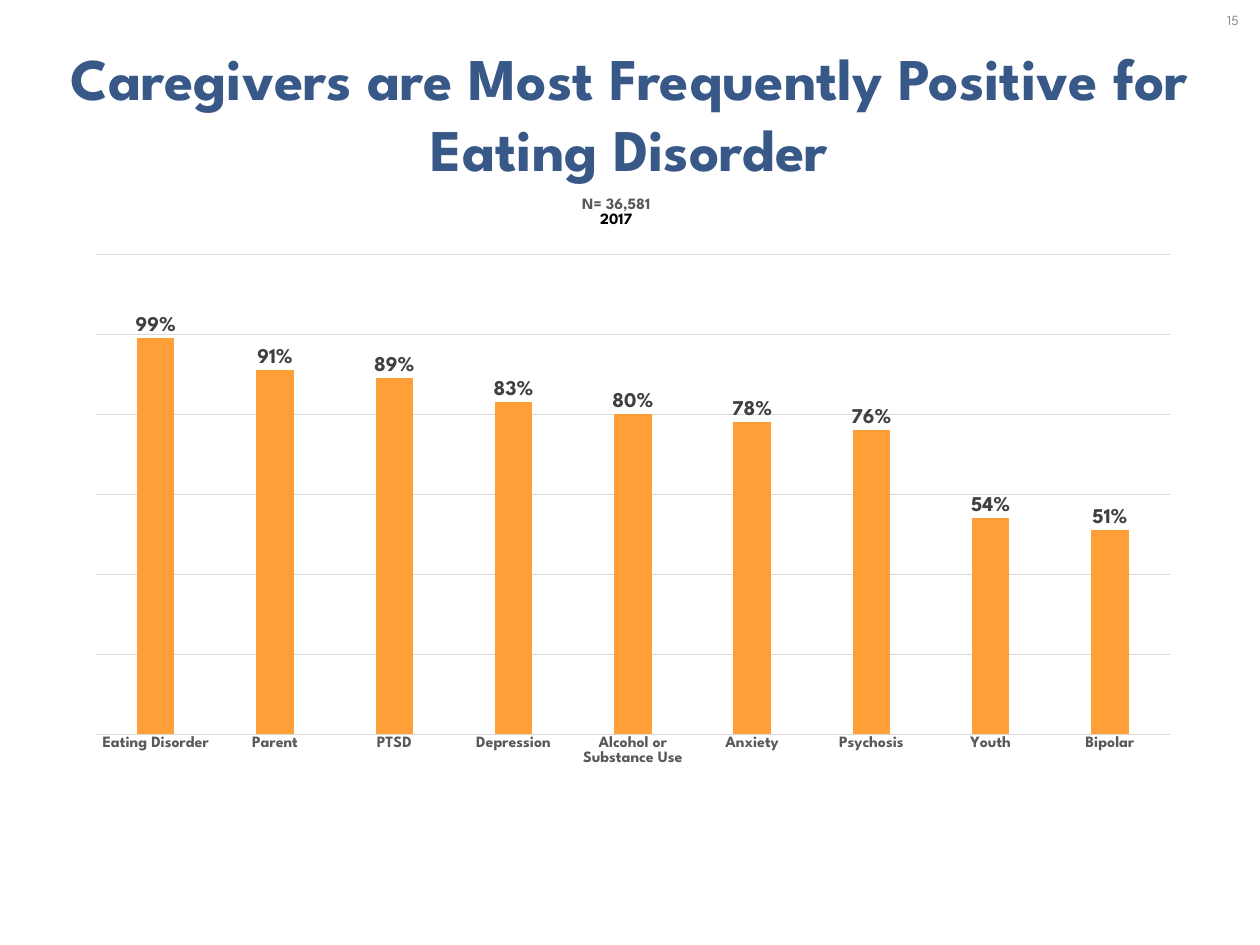
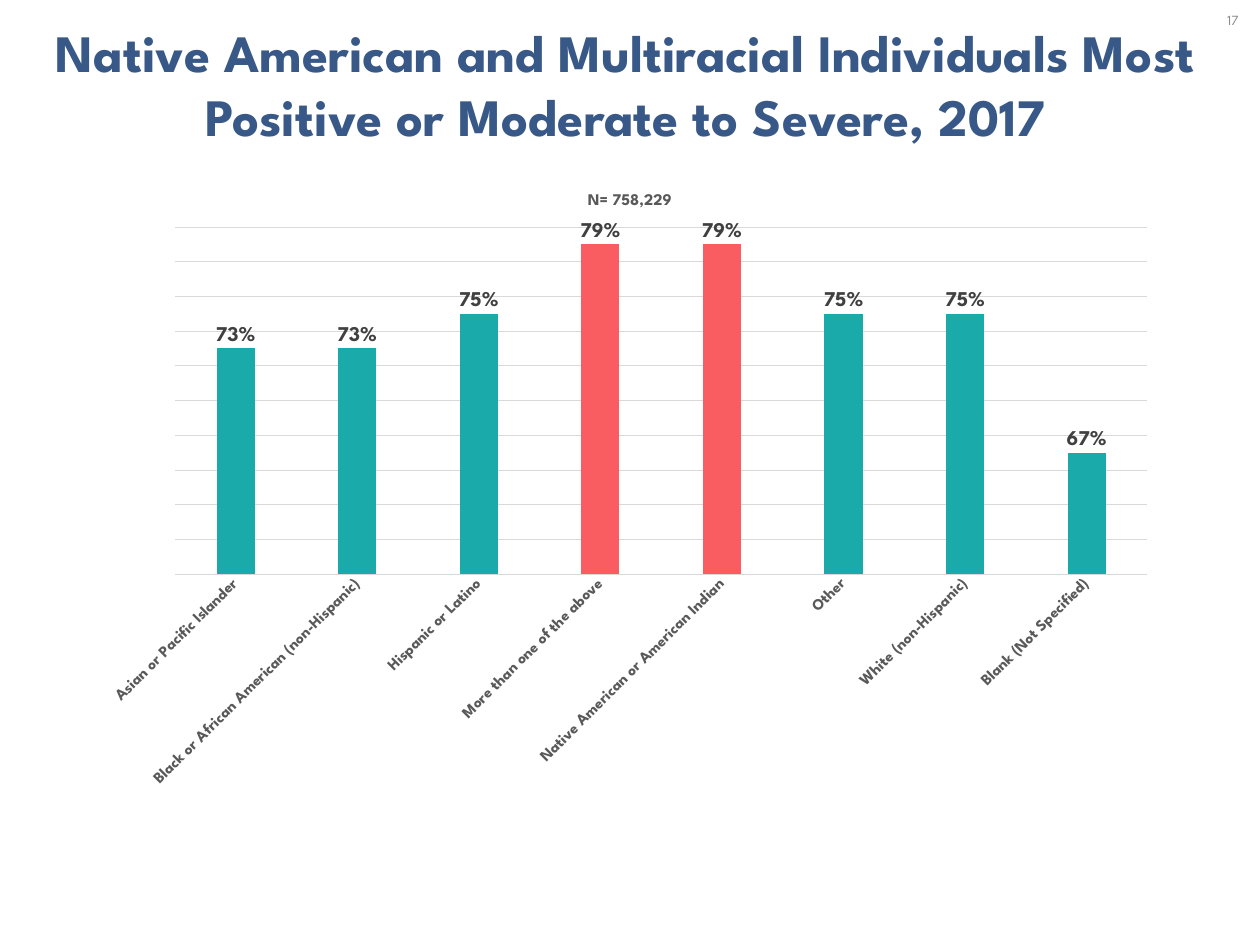
import dataclasses
import typing

import pptx
import pptx.chart.data
import pptx.dml.color
import pptx.enum.chart
import pptx.enum.text
import pptx.oxml
import pptx.oxml.ns
import pptx.util

Pt = pptx.util.Pt
FONT = "League Spartan"
BLUE, GREY, DARK, PALE, RULE = "385988", "595959", "404040", "8C8C8C", "D9D9D9"
ORANGE, TEAL, CORAL, BLACK = "FF9F37", "1BAAAA", "F95D62", "000000"

Box = tuple[float, float, float, float]


@dataclasses.dataclass
class Line:
    text: str
    color: str = GREY
    size: float = 18


@dataclasses.dataclass
class Graph:
    box: Box
    plot: Box
    name: str
    bars: dict[str, float]
    color: str
    heads: list[Line]
    low: float
    high: float
    step: float
    marks: tuple[int, ...] = ()
    angle: int = 0
    head_at: typing.Optional[tuple[float, float]] = None


@dataclasses.dataclass
class Page:
    title: str
    size: float
    left: float
    top: float
    page: str
    graph: Graph


PAGES = [
    Page(
        "Caregivers are Most Frequently Positive for Eating Disorder",
        67.5, 60, 75.6, "15",
        Graph(
            box=(84.24, 220.32, 1278, 668.16),
            plot=(0.02, 0.105, 0.96, 0.821),
            name="Series 1",
            bars={
                "Eating Disorder": 0.99, "Parent": 0.91, "PTSD": 0.89,
                "Depression": 0.83, "Alcohol or Substance Use": 0.8,
                "Anxiety": 0.78, "Psychosis": 0.76, "Youth": 0.54,
                "Bipolar": 0.51,
            },
            color=ORANGE,
            heads=[Line("N= 36,581"), Line("2017", BLACK)],
            low=0, high=1.2, step=0.2,
            head_at=(0.453, 0.005),
        ),
    ),
    Page(
        "Native American and Multiracial Individuals Most Positive "
        "or Moderate to Severe, 2017",
        60, 55.44, 42.48, "17",
        Graph(
            box=(105.12, 198, 1229.76, 715.68),
            plot=(0.077, 0.086, 0.904, 0.554),
            name="N= 758,229",
            bars={
                "Asian or Pacific Islander": 0.73,
                "Black or African American (non-Hispanic)": 0.73,
                "Hispanic or Latino": 0.75, "More than one of the above": 0.79,
                "Native American or American Indian": 0.79, "Other": 0.75,
                "White (non-Hispanic)": 0.75, "Blank (Not Specified)": 0.67,
            },
            color=TEAL,
            heads=[Line("N= 758,229", size=18.6)],
            low=0.6, high=0.8, step=0.02,
            marks=(3, 4), angle=-45,
        ),
    ),
]


def tint(code: str) -> pptx.dml.color.RGBColor:
    return pptx.dml.color.RGBColor.from_string(code)


def style(font, size: float, color: str, bold: bool = True) -> None:
    font.name, font.size, font.bold = FONT, Pt(size), bold
    font.color.rgb = tint(color)


def write(frame, text: str, *, size: float, color: str, bold: bool = True,
          pitch: typing.Optional[float] = None) -> None:
    """Add a centred paragraph, filling the first one if it is still empty."""
    para = frame.paragraphs[0]
    if para.runs:
        para = frame.add_paragraph()
    para.alignment = pptx.enum.text.PP_ALIGN.CENTER
    if pitch:
        para.line_spacing = Pt(pitch)
    run = para.add_run()
    run.text = text
    style(run.font, size, color, bold)


def center(frame) -> None:
    """Wrap the text, drop side insets and anchor it in the middle."""
    frame.word_wrap = True
    frame.auto_size = pptx.enum.text.MSO_AUTO_SIZE.NONE
    frame.vertical_anchor = pptx.enum.text.MSO_ANCHOR.MIDDLE
    frame.margin_left = frame.margin_right = 0


def place(part, index: int, inner: bool = False, **spots: float) -> None:
    """Give a chart part a manual layout, in shares of the chart's size."""
    old = part.find(pptx.oxml.ns.qn("c:layout"))
    if old is not None:
        part.remove(old)
    tags = {"layoutTarget": "inner"} if inner else {}
    tags |= {"xMode": "edge", "yMode": "edge"} | spots
    body = "".join(f'<c:{tag} val="{val}"/>' for tag, val in tags.items())
    part.insert(index, pptx.oxml.parse_xml(
        f'<c:layout {pptx.oxml.ns.nsdecls("c")}>'
        f"<c:manualLayout>{body}</c:manualLayout></c:layout>"))


def rule(line) -> None:
    line.color.rgb = tint(RULE)
    line.width = Pt(0.75)


def set_axes(chart, graph: Graph) -> None:
    none = pptx.enum.chart.XL_TICK_MARK.NONE
    base, scale = chart.category_axis, chart.value_axis
    base.major_tick_mark = base.minor_tick_mark = none
    base.has_major_gridlines = False
    rule(base.format.line)
    style(base.tick_labels.font, 18, GREY)
    if graph.angle:
        body = base._element.find(
            f'{pptx.oxml.ns.qn("c:txPr")}/{pptx.oxml.ns.qn("a:bodyPr")}')
        body.set("rot", str(graph.angle * 60000))
        body.set("vert", "horz")
    scale.minimum_scale, scale.maximum_scale = graph.low, graph.high
    scale.major_unit = graph.step
    scale.has_major_gridlines = True
    rule(scale.major_gridlines.format.line)
    scale.tick_labels.number_format = "0%"
    scale.tick_labels.number_format_is_linked = False
    scale.visible = False


def set_bars(plot, graph: Graph) -> None:
    plot.gap_width, plot.overlap = 219, -27
    plot.vary_by_categories = False
    bars = plot.series[0]
    bars.invert_if_negative = False
    bars.format.fill.solid()
    bars.format.fill.fore_color.rgb = tint(graph.color)
    for mark in graph.marks:
        fill = bars.points[mark].format.fill
        fill.solid()
        fill.fore_color.rgb = tint(CORAL)
    labels = bars.data_labels
    labels.show_value = True
    labels.number_format, labels.number_format_is_linked = "0%", False
    labels.position = pptx.enum.chart.XL_LABEL_POSITION.OUTSIDE_END
    style(labels.font, 24, DARK)


def add_graph(slide, graph: Graph) -> None:
    data = pptx.chart.data.CategoryChartData(number_format="0%")
    data.categories = list(graph.bars)
    data.add_series(graph.name, list(graph.bars.values()))
    chart = slide.shapes.add_chart(
        pptx.enum.chart.XL_CHART_TYPE.COLUMN_CLUSTERED,
        *map(Pt, graph.box), data).chart
    style(chart.font, 10, BLACK, False)
    chart.has_legend = False
    chart.has_title = True
    head = chart.chart_title
    for line in graph.heads:
        write(head.text_frame, line.text, size=line.size, color=line.color)
    head.include_in_layout = False
    if graph.head_at:
        left, top = graph.head_at
        place(head._element, 1, x=left, y=top)
    set_axes(chart, graph)
    set_bars(chart.plots[0], graph)
    left, top, width, height = graph.plot
    place(chart._chartSpace.chart.plotArea, 0, inner=True,
          x=left, y=top, w=width, h=height)


def add_page(deck, page: Page) -> None:
    slide = deck.slides.add_slide(deck.slide_layouts[5])
    title = slide.shapes.title
    title.left, title.top = Pt(page.left), Pt(page.top)
    title.width, title.height = Pt(1318.32), Pt(104.4)
    center(title.text_frame)
    write(title.text_frame, page.title, size=page.size, color=BLUE,
          pitch=round(page.size * 1.21))
    label = slide.shapes.add_textbox(Pt(1378), 0, Pt(62), Pt(45)).text_frame
    center(label)
    write(label, page.page, size=16, color=PALE, bold=False)
    add_graph(slide, page.graph)


def main() -> None:
    deck = pptx.Presentation()
    deck.slide_width, deck.slide_height = Pt(1440), Pt(1080)
    for page in PAGES:
        add_page(deck, page)
    deck.save("out.pptx")


if __name__ == "__main__":
    main()
